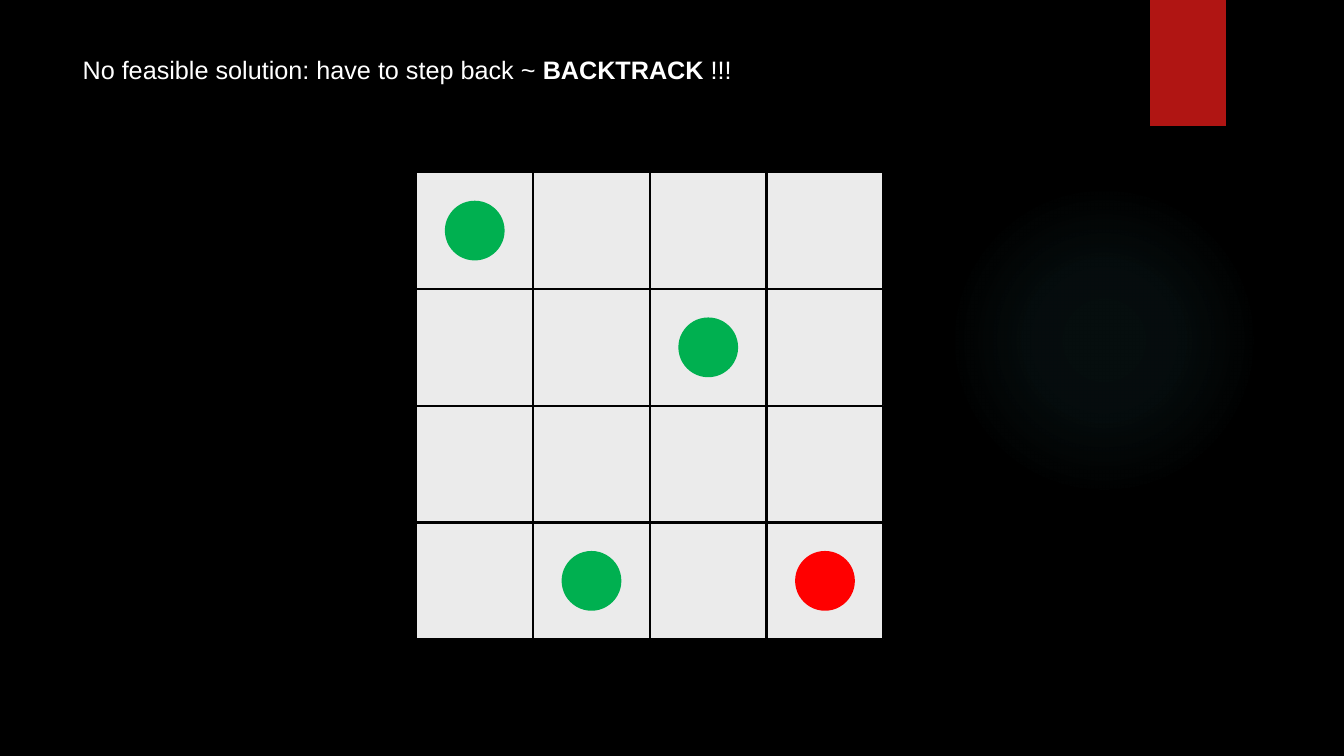
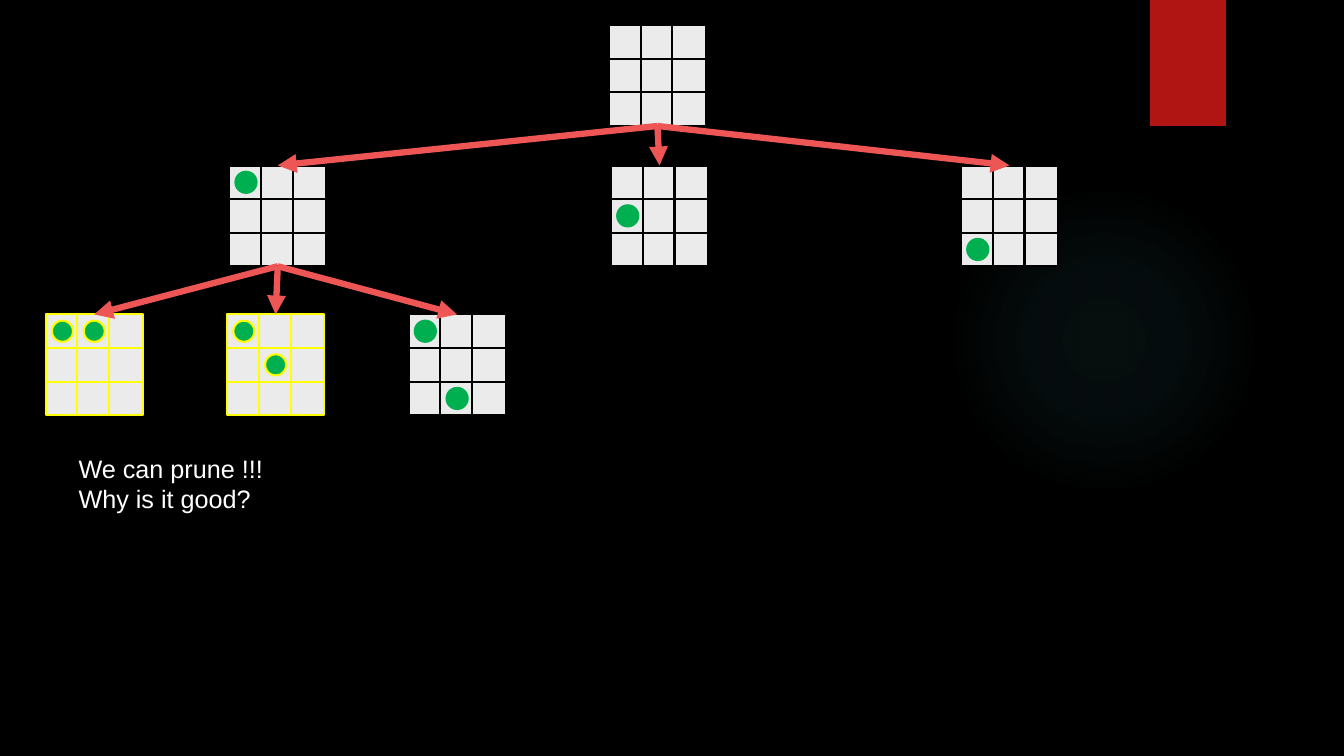
from lxml.etree import SubElement
from pptx import Presentation
from pptx.dml.color import RGBColor
from pptx.enum.shapes import MSO_CONNECTOR, MSO_SHAPE
from pptx.enum.text import MSO_ANCHOR, MSO_AUTO_SIZE, PP_ALIGN
from pptx.oxml import parse_xml
from pptx.oxml.ns import nsdecls, qn
from pptx.util import Pt

BLACK = RGBColor(0x00, 0x00, 0x00)
WHITE = RGBColor(0xFF, 0xFF, 0xFF)
CELL_GREY = RGBColor(0xEB, 0xEB, 0xEB)
GREEN = RGBColor(0x00, 0xB0, 0x50)
RED = RGBColor(0xFF, 0x00, 0x00)
YELLOW = RGBColor(0xFF, 0xFF, 0x00)
ARROW_RED = RGBColor(0xED, 0x56, 0x54)
RIBBON_RED = RGBColor(0xB0, 0x15, 0x13)
GLOW_TEAL = RGBColor(0x50, 0xB9, 0xC1)

FONT = "Arial"
TEXT_SIZE = Pt(18)
TITLE_ONLY, BLANK = 5, 6  # layout indexes
BOTTOM, TOP = 2, 0  # connection sites of a rectangle

# Tree of 3 x 3 boards
CELL = 24
COLUMN_STEP = 22.7
DISC = 15.1
ROOT_TOP, FIRST_TOP, SECOND_TOP = 18, 118.2, 224.6


def add_plain_shape(slide, kind, left, top, width, height, fill=None, line=None):
    shape = slide.shapes.add_shape(kind, Pt(left), Pt(top), Pt(width), Pt(height))
    shape.shadow.inherit = False
    if fill is None:
        shape.fill.background()
    else:
        shape.fill.solid()
        shape.fill.fore_color.rgb = fill
    if line is None:
        shape.line.fill.background()
    else:
        shape.line.color.rgb = line
        shape.line.width = Pt(1.5)
    return shape


def set_glow(shape, color, stops):
    """Fill a shape with a round gradient of (position, opacity) percents."""
    stop_list = "".join(
        f'<a:gs pos="{position * 1000}"><a:srgbClr val="{color}">'
        f'<a:alpha val="{opacity * 1000}"/></a:srgbClr></a:gs>'
        for position, opacity in stops)
    gradient = parse_xml(
        f'<a:gradFill {nsdecls("a")} rotWithShape="1"><a:gsLst>{stop_list}</a:gsLst>'
        '<a:path path="circle"><a:fillToRect l="50000" t="50000" r="50000" b="50000"/>'
        '</a:path></a:gradFill>')
    properties = shape.element.spPr
    properties.replace(properties.find(qn("a:noFill")), gradient)


def set_drop_shadow(shape):
    effects = shape.element.spPr.find(qn("a:effectLst"))
    effects.append(parse_xml(
        f'<a:outerShdw {nsdecls("a")} blurRad="{Pt(3)}" dist="{Pt(2)}" dir="5400000" '
        f'rotWithShape="0"><a:srgbClr val="{BLACK}"><a:alpha val="45000"/></a:srgbClr>'
        '</a:outerShdw>'))


def decorate_master(presentation, slide):
    """Give the master its background, glow and ribbon, drawn first on a slide."""
    master = presentation.slide_master
    master.background.fill.solid()
    master.background.fill.fore_color.rgb = BLACK
    glow = add_plain_shape(slide, MSO_SHAPE.OVAL, 677.5, 131.8, 221.8, 221.8)
    set_glow(glow, GLOW_TEAL, [(0, 7), (36, 6), (69, 0)])
    ribbon = add_plain_shape(slide, MSO_SHAPE.RECTANGLE, 821.6, 0, 54, 90, RIBBON_RED)
    set_drop_shadow(ribbon)
    # Index 2 is the first place after the group's own properties
    for index, shape in enumerate((glow, ribbon), start=2):
        master.shapes.element.insert(index, shape.element)


def format_frame(frame):
    frame.word_wrap = False
    frame.vertical_anchor = MSO_ANCHOR.TOP
    for paragraph in frame.paragraphs:
        paragraph.alignment = PP_ALIGN.LEFT
        paragraph.font.name = FONT
        paragraph.font.size = TEXT_SIZE
        paragraph.font.color.rgb = WHITE


def set_title(slide, parts):
    """Fill the title with (text, bold) parts."""
    title = slide.shapes.title
    title.left, title.top, title.width, title.height = Pt(51.8), Pt(35.3), Pt(506.2), Pt(29)
    frame = title.text_frame
    for text, bold in parts:
        run = frame.paragraphs[0].add_run()
        run.text = text
        run.font.bold = bold
    format_frame(frame)
    frame.auto_size = MSO_AUTO_SIZE.NONE


def add_text(slide, left, top, width, height, lines):
    frame = slide.shapes.add_textbox(Pt(left), Pt(top), Pt(width), Pt(height)).text_frame
    frame.text = "\n".join(lines)
    format_frame(frame)
    frame.auto_size = MSO_AUTO_SIZE.SHAPE_TO_FIT_TEXT


def add_board(slide, left, top, count, cell, column_step, line=BLACK):
    """Draw a board and return its cells as rows."""
    return [
        [add_plain_shape(slide, MSO_SHAPE.RECTANGLE, left + column * column_step,
                         top + row * cell, cell, cell, CELL_GREY, line)
         for column in range(count)]
        for row in range(count)]


def add_disc(slide, cell, size, fill, line):
    margin = (cell.width.pt - size) / 2
    add_plain_shape(slide, MSO_SHAPE.OVAL, cell.left.pt + margin, cell.top.pt + margin,
                    size, size, fill, line)


def add_tree_board(slide, left, top, discs=(), pruned=False):
    cells = add_board(slide, left, top, 3, CELL, COLUMN_STEP, YELLOW if pruned else BLACK)
    for row, column in discs:
        add_disc(slide, cells[row][column], DISC, GREEN, YELLOW if pruned else GREEN)
    return cells


def add_arrow(slide, parent, child):
    """Join the bottom middle of one board to the top middle of another."""
    arrow = slide.shapes.add_connector(MSO_CONNECTOR.STRAIGHT, 0, 0, 0, 0)
    arrow.begin_connect(parent[-1][1], BOTTOM)
    arrow.end_connect(child[0][1], TOP)
    arrow.line.color.rgb = ARROW_RED
    arrow.line.width = Pt(4.5)
    SubElement(arrow.line._get_or_add_ln(), qn("a:tailEnd"), type="triangle")
    SubElement(arrow.element.spPr, qn("a:effectLst"))


def build_backtrack_slide(slide):
    set_title(slide, [("No feasible solution: have to step back ~ ", False),
                      ("BACKTRACK", True), (" !!!", False)])
    cells = add_board(slide, 297.4, 123, 4, 83.4, 83.4)
    for row, column, color in [(0, 0, GREEN), (3, 1, GREEN), (1, 2, GREEN), (3, 3, RED)]:
        add_disc(slide, cells[row][column], 41.2, color, color)


def build_prune_slide(slide):
    root = add_tree_board(slide, 434.9, ROOT_TOP)
    first_level = [
        add_tree_board(slide, left, FIRST_TOP, [(row, 0)])
        for row, left in enumerate((163.7, 436.4, 686.4))]
    second_level = [
        add_tree_board(slide, 32.6 + 129.6 * row, SECOND_TOP, [(0, 0), (row, 1)], row < 2)
        for row in range(3)]

    for parent, children in ((root, first_level), (first_level[0], second_level)):
        for child in children:
            add_arrow(slide, parent, child)

    add_text(slide, 49, 320.4, 162, 50.9, ["We can prune !!!", "Why is it good?"])


def main():
    presentation = Presentation()
    presentation.slide_width, presentation.slide_height = Pt(960), Pt(540)
    backtrack_slide, prune_slide = [
        presentation.slides.add_slide(presentation.slide_layouts[index])
        for index in (TITLE_ONLY, BLANK)]
    decorate_master(presentation, backtrack_slide)
    build_backtrack_slide(backtrack_slide)
    build_prune_slide(prune_slide)
    presentation.save("out.pptx")


main()
